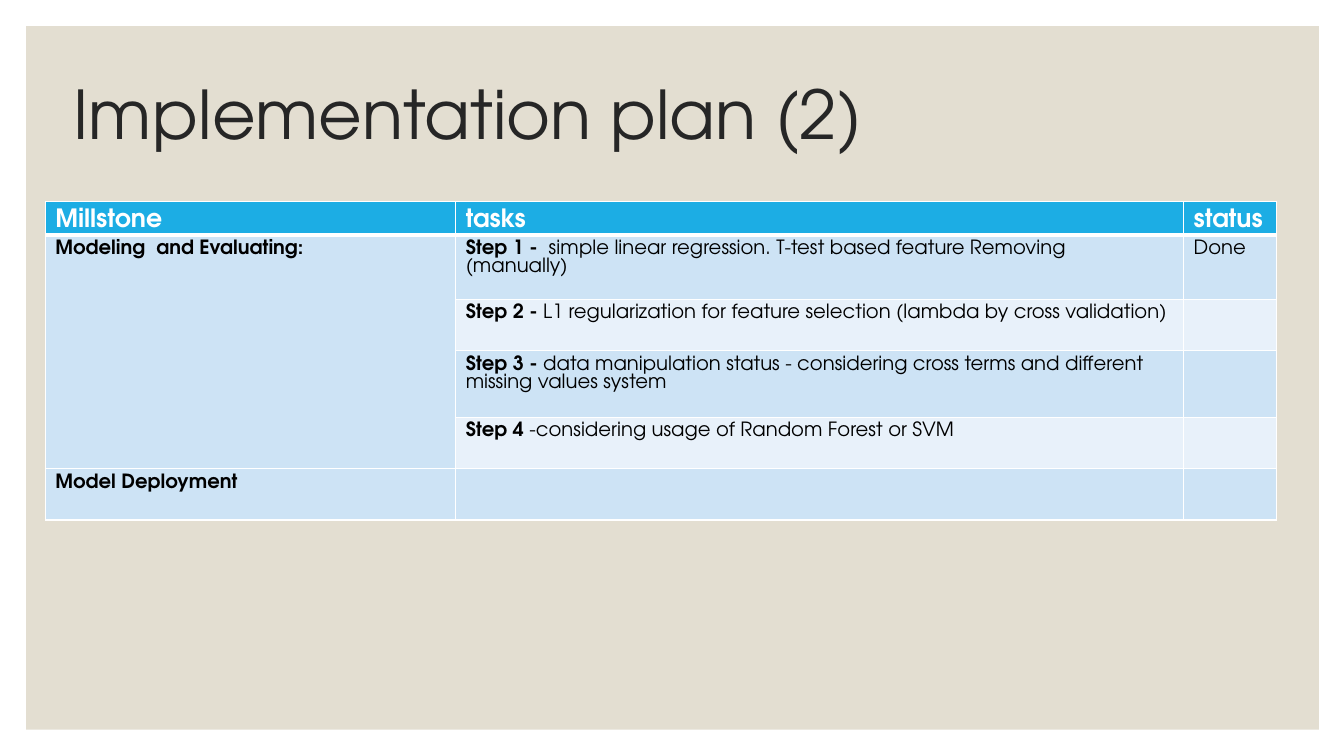
from dataclasses import dataclass

from lxml.etree import SubElement
from pptx import Presentation
from pptx.dml.color import RGBColor
from pptx.enum.shapes import MSO_SHAPE
from pptx.enum.text import MSO_ANCHOR, PP_ALIGN
from pptx.oxml.ns import qn
from pptx.slide import Slide
from pptx.table import _Cell as Cell
from pptx.text.text import _Paragraph as Paragraph
from pptx.util import Inches, Pt


@dataclass(frozen=True)
class Theme:
    font: str = "TeX Gyre Adventor"
    panel: str = "E3DED1"
    title: str = "262626"
    header: str = "1CADE4"
    bands: tuple[str, str] = ("CDE3F5", "E8F1FA")
    white: str = "FFFFFF"
    black: str = "000000"
    title_size: int = 48
    header_size: int = 18
    body_size: int = 14
    body_line: int = 13


@dataclass(frozen=True)
class PlanRow:
    height: float
    milestone: str = ""
    step: str = ""
    task: str = ""
    status: str = ""


THEME = Theme()
HEADINGS = ("Millstone", "tasks", "status")
HEADER_HEIGHT = 0.33
COLUMN_WIDTHS = (4.07, 7.22, 0.92)
MODELING_ROWS = 4
PLAN = (
    PlanRow(0.64, "Modeling  and Evaluating:", "Step 1 -  ",
            "simple linear regression. T-test based feature Removing (manually)", "Done"),
    PlanRow(0.51, step="Step 2 - ",
            task="L1 regularization for feature selection (lambda by cross validation)"),
    PlanRow(0.66, step="Step 3 - ",
            task="data manipulation status - considering cross terms and different missing values system"),
    PlanRow(0.51, step="Step 4", task=" -considering usage of Random Forest or SVM"),
    PlanRow(0.51, "Model Deployment"),
)


def add_text(paragraph: Paragraph, text: str, *, size: int = THEME.body_size,
             color: str = THEME.black, bold: bool = False) -> None:
    if not text:
        return
    run = paragraph.add_run()
    run.text = text
    run.font.name = THEME.font
    run.font.size = Pt(size)
    run.font.bold = bold
    run.font.color.rgb = RGBColor.from_string(color)


def set_borders(cell: Cell, bottom: int = 1, top: int = 1) -> None:
    properties = cell._tc.get_or_add_tcPr()
    for index, (side, width) in enumerate((("L", 1), ("R", 1), ("T", top), ("B", bottom))):
        line = SubElement(properties, qn(f"a:ln{side}"), w=str(Pt(width)))
        fill = SubElement(line, qn("a:solidFill"))
        SubElement(fill, qn("a:srgbClr"), val=THEME.white)
        properties.insert(index, line)


def style_cell(cell: Cell, fill: str) -> None:
    cell.fill.solid()
    cell.fill.fore_color.rgb = RGBColor.from_string(fill)
    cell.margin_left = cell.margin_right = Inches(0.1)
    cell.margin_top, cell.margin_bottom = Inches(0.05), 0
    cell.vertical_anchor = MSO_ANCHOR.TOP


def add_title(slide: Slide) -> None:
    title = slide.shapes.title
    title.left, title.top = Inches(0.63), Inches(0.42)
    title.width, title.height = Inches(11), Inches(1.5)
    title.text_frame.vertical_anchor = MSO_ANCHOR.MIDDLE
    paragraph = title.text_frame.paragraphs[0]
    paragraph.alignment = PP_ALIGN.LEFT
    paragraph.line_spacing = 0.9
    add_text(paragraph, "Implementation plan (2)", size=THEME.title_size, color=THEME.title)


def add_panel(slide: Slide) -> None:
    panel = slide.shapes.add_shape(
        MSO_SHAPE.RECTANGLE, Inches(0.26), Inches(0.26), Inches(12.82), Inches(6.98))
    panel.shadow.inherit = False
    panel.fill.solid()
    panel.fill.fore_color.rgb = RGBColor.from_string(THEME.panel)
    panel.line.fill.background()
    # Send the panel behind the title
    slide.shapes.title.element.addprevious(panel.element)


def add_plan_table(slide: Slide) -> None:
    heights = (HEADER_HEIGHT, *(row.height for row in PLAN))
    table = slide.shapes.add_table(
        len(heights), len(HEADINGS), Inches(0.45), Inches(2),
        Inches(sum(COLUMN_WIDTHS)), Inches(sum(heights))).table
    for column, width in zip(table.columns, COLUMN_WIDTHS):
        column.width = Inches(width)
    for table_row, height in zip(table.rows, heights):
        table_row.height = Inches(height)

    # Header row
    for index, heading in enumerate(HEADINGS):
        cell = table.cell(0, index)
        style_cell(cell, THEME.header)
        set_borders(cell, bottom=3)
        paragraph = cell.text_frame.paragraphs[0]
        paragraph.line_spacing = Pt(THEME.header_size)
        add_text(paragraph, heading, size=THEME.header_size, color=THEME.white, bold=True)

    # Plan rows in alternating bands
    for row_index, row in enumerate(PLAN, start=1):
        contents = ((row.milestone, ""), (row.step, row.task), ("", row.status))
        for column_index, (strong, plain) in enumerate(contents):
            cell = table.cell(row_index, column_index)
            style_cell(cell, THEME.bands[(row_index - 1) % 2])
            set_borders(cell, top=3 if row_index == 1 else 1)
            paragraph = cell.text_frame.paragraphs[0]
            paragraph.line_spacing = Pt(THEME.body_line)
            add_text(paragraph, strong, bold=True)
            add_text(paragraph, plain)
    table.cell(1, 0).merge(table.cell(MODELING_ROWS, 0))


def main() -> None:
    presentation = Presentation()
    presentation.slide_width, presentation.slide_height = Inches(13.33), Inches(7.5)
    slide = presentation.slides.add_slide(presentation.slide_layouts[5])
    add_title(slide)
    add_panel(slide)
    add_plan_table(slide)
    presentation.save("out.pptx")


if __name__ == "__main__":
    main()
